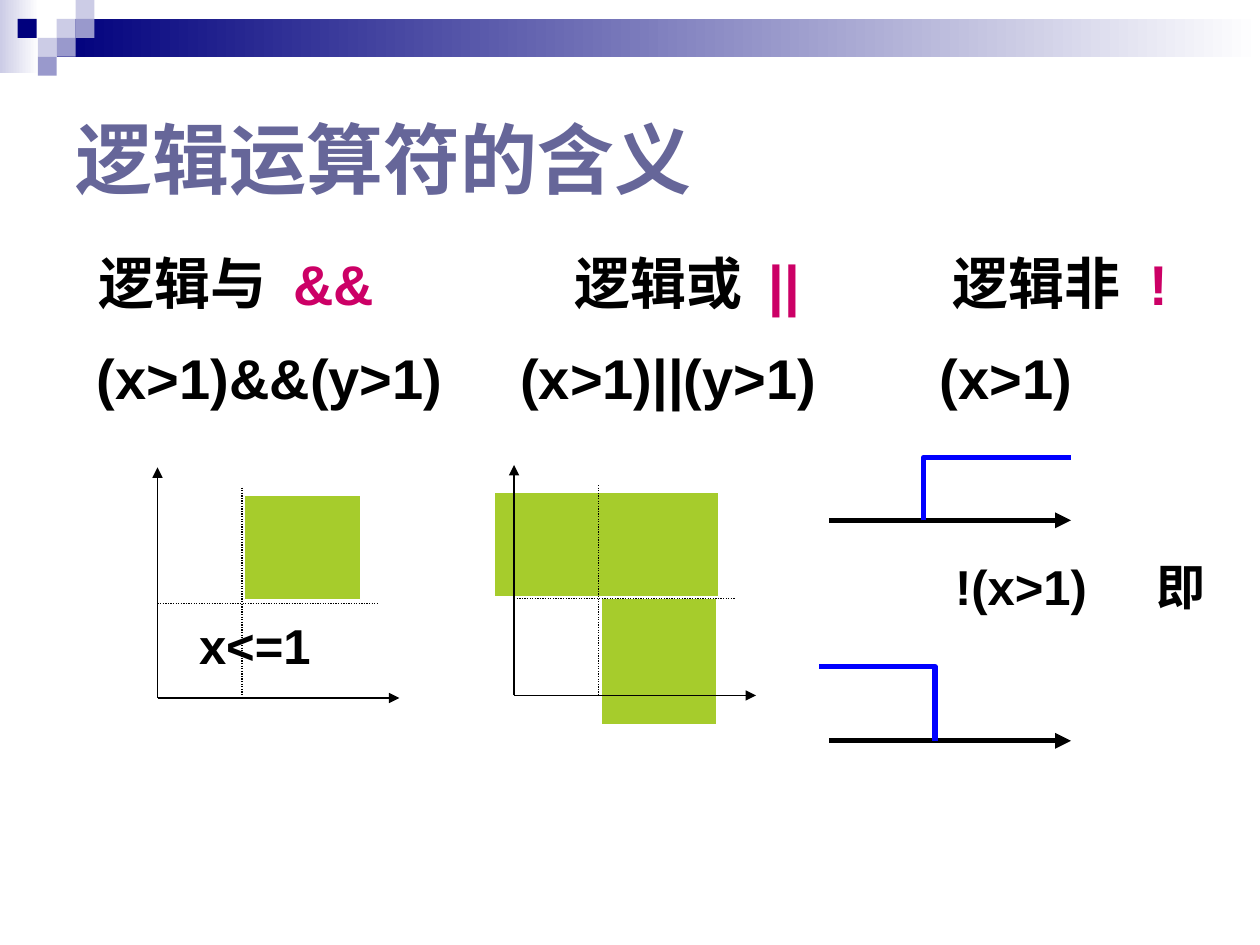
from dataclasses import dataclass

import pptx
import pptx.dml.color
import pptx.enum.dml
import pptx.enum.shapes
import pptx.enum.text
import pptx.oxml
import pptx.oxml.ns
import pptx.util

Inches = pptx.util.Inches
RGBColor = pptx.dml.color.RGBColor
MIDDLE = pptx.enum.text.MSO_ANCHOR.MIDDLE

NAVY = RGBColor(0x00, 0x00, 0x7D)
LAVENDER = RGBColor(0xCC, 0xCC, 0xE6)
PERIWINKLE = RGBColor(0x99, 0x99, 0xCC)
SLATE = RGBColor(0x66, 0x66, 0x99)
MAGENTA = RGBColor(0xCC, 0x00, 0x66)
GREEN = RGBColor(0xA6, 0xCC, 0x2C)
BLUE = RGBColor(0x00, 0x00, 0xFF)
BLACK = RGBColor(0x00, 0x00, 0x00)
WHITE = RGBColor(0xFF, 0xFF, 0xFF)

LATIN_ADVANCE, HAN_ADVANCE = 0.25, 0.4


@dataclass
class Box:
    left: float
    top: float
    width: float
    height: float


@dataclass
class Label:
    text: str
    left: float
    middle: float
    size: int = 32
    color: RGBColor = BLACK
    advance: float = LATIN_ADVANCE


@dataclass
class Plane:
    """Axes of one condition on x and y, with guides at x=1 and y=1."""
    left: float
    bottom: float
    guide_y: float
    regions: list[Box]


@dataclass
class NumberLine:
    """Axis of one condition on x, with a step that marks where it holds."""
    axis_y: float
    step_x: float
    step_y: float
    end_x: float


def style_text(frame, size: int, color: RGBColor) -> None:
    for run in frame.paragraphs[0].runs:
        run.font.name = "Arial"
        run.font.size = pptx.util.Pt(size)
        run.font.bold = True
        run.font.color.rgb = color


def add_rect(slide, box: Box, color: RGBColor, outlined: bool = False,
             fade: bool = False) -> None:
    rect = slide.shapes.add_shape(
        pptx.enum.shapes.MSO_SHAPE.RECTANGLE, Inches(box.left), Inches(box.top),
        Inches(box.width), Inches(box.height))
    rect.shadow.inherit = False
    if fade:
        rect.fill.gradient()
        rect.fill.gradient_angle = 0
        for stop, stop_color in zip(rect.fill.gradient_stops, (color, WHITE)):
            stop.color.rgb = stop_color
    else:
        rect.fill.solid()
        rect.fill.fore_color.rgb = color
    if outlined:
        rect.line.color.rgb = WHITE
        rect.line.width = pptx.util.Pt(0.75)
    else:
        rect.line.fill.background()


def add_line(slide, x1: float, y1: float, x2: float, y2: float,
             width: float = 0.75, arrow: bool = False) -> None:
    """Draw an axis with an arrowhead, or else a dotted guide."""
    line = slide.shapes.add_connector(
        pptx.enum.shapes.MSO_CONNECTOR.STRAIGHT,
        Inches(x1), Inches(y1), Inches(x2), Inches(y2))
    line.line.color.rgb = BLACK
    line.line.width = pptx.util.Pt(width)
    if arrow:
        head = pptx.oxml.parse_xml(
            f'<a:tailEnd {pptx.oxml.ns.nsdecls("a")} type="triangle"/>')
        line.line._get_or_add_ln().append(head)
    else:
        line.line.dash_style = pptx.enum.dml.MSO_LINE.ROUND_DOT
    line._element.spPr.append(
        pptx.oxml.parse_xml(f'<a:effectLst {pptx.oxml.ns.nsdecls("a")}/>'))


def add_label(slide, label: Label) -> None:
    height = 0.7
    box = slide.shapes.add_textbox(
        Inches(label.left), Inches(label.middle - height / 2),
        Inches(0.3 + len(label.text) * label.advance), Inches(height))
    frame = box.text_frame
    frame.margin_left = frame.margin_right = 0
    frame.margin_top = frame.margin_bottom = 0
    frame.vertical_anchor = MIDDLE
    frame.word_wrap = True
    frame.text = label.text
    style_text(frame, label.size, label.color)


def add_plane(slide, plane: Plane) -> None:
    left, bottom, guide_x = plane.left, plane.bottom, plane.left + 0.67
    for region in plane.regions:
        add_rect(slide, region, GREEN, outlined=True)
    add_line(slide, left, bottom, left + 1.92, bottom, arrow=True)
    add_line(slide, left, bottom, left, bottom - 1.83, arrow=True)
    add_line(slide, left, plane.guide_y, left + 1.75, plane.guide_y)
    add_line(slide, guide_x, bottom - 1.67, guide_x, bottom)


def add_number_line(slide, axis: NumberLine) -> None:
    add_line(slide, 6.58, axis.axis_y, 8.5, axis.axis_y, width=3, arrow=True)
    builder = slide.shapes.build_freeform(
        Inches(axis.step_x), Inches(axis.axis_y))
    builder.add_line_segments(
        [(Inches(axis.step_x), Inches(axis.step_y)),
         (Inches(axis.end_x), Inches(axis.step_y))], close=False)
    step = builder.convert_to_shape()
    step.shadow.inherit = False
    step.fill.background()
    step.line.color.rgb = BLUE
    step.line.width = pptx.util.Pt(3)


def main() -> None:
    deck = pptx.Presentation()
    deck.slide_width, deck.slide_height = Inches(10), Inches(7.5)
    slide = deck.slides.add_slide(deck.slide_layouts[5])

    # Header band with its mosaic of small squares
    add_rect(slide, Box(0, 0, 0.31, 0.58), LAVENDER, fade=True)
    add_rect(slide, Box(0.45, 0.15, 9.55, 0.3), NAVY, fade=True)
    for left, top, color in [
            (0.45, 0.15, LAVENDER), (0.6, 0, LAVENDER), (0.6, 0.15, PERIWINKLE),
            (0.3, 0.3, LAVENDER), (0.14, 0.15, NAVY), (0.45, 0.3, PERIWINKLE),
            (0.3, 0.45, PERIWINKLE)]:
        add_rect(slide, Box(left, top, 0.15, 0.15), color)

    # Title
    title = slide.shapes.title
    title.left, title.top = Inches(0.5), Inches(0.5)
    title.width, title.height = Inches(9), Inches(1.5)
    title.text_frame.text = "逻辑运算符的含义"
    title.text_frame.auto_size = pptx.enum.text.MSO_AUTO_SIZE.NONE
    title.text_frame.vertical_anchor = MIDDLE
    title.text_frame.paragraphs[0].alignment = pptx.enum.text.PP_ALIGN.LEFT
    style_text(title.text_frame, 44, SLATE)

    # Operators, their example conditions, and the negated condition
    for name, name_x, operator, operator_x, condition, condition_x in [
            ("逻辑与", 0.78, "&&", 2.33, "(x>1)&&(y>1)", 0.77),
            ("逻辑或", 4.56, "||", 6.1, "(x>1)||(y>1)", 4.13),
            ("逻辑非", 7.56, "!", 9.12, "(x>1)", 7.46)]:
        add_label(slide, Label(name, name_x, 2.24, advance=HAN_ADVANCE))
        add_label(slide, Label(operator, operator_x, 2.25, color=MAGENTA))
        add_label(slide, Label(condition, condition_x, 2.99))
    for label in [Label("!(x>1)", 7.58, 4.65, 28),
                  Label("即", 9.18, 4.65, 28, advance=HAN_ADVANCE),
                  Label("x<=1", 1.58, 5.12, 28)]:
        add_label(slide, label)

    # Regions where "and" and "or" hold
    add_plane(slide, Plane(1.25, 5.54, 4.79, [Box(1.94, 3.93, 0.92, 0.83)]))
    add_plane(slide, Plane(4.08, 5.52, 4.75, [
        Box(4.77, 4.75, 0.92, 1), Box(3.92, 3.91, 1.78, 0.83)]))

    # Ranges where the condition and its negation hold
    add_number_line(slide, NumberLine(4.13, 7.33, 3.63, 8.5))
    add_number_line(slide, NumberLine(5.88, 7.42, 5.29, 6.5))

    deck.save("out.pptx")


if __name__ == "__main__":
    main()
